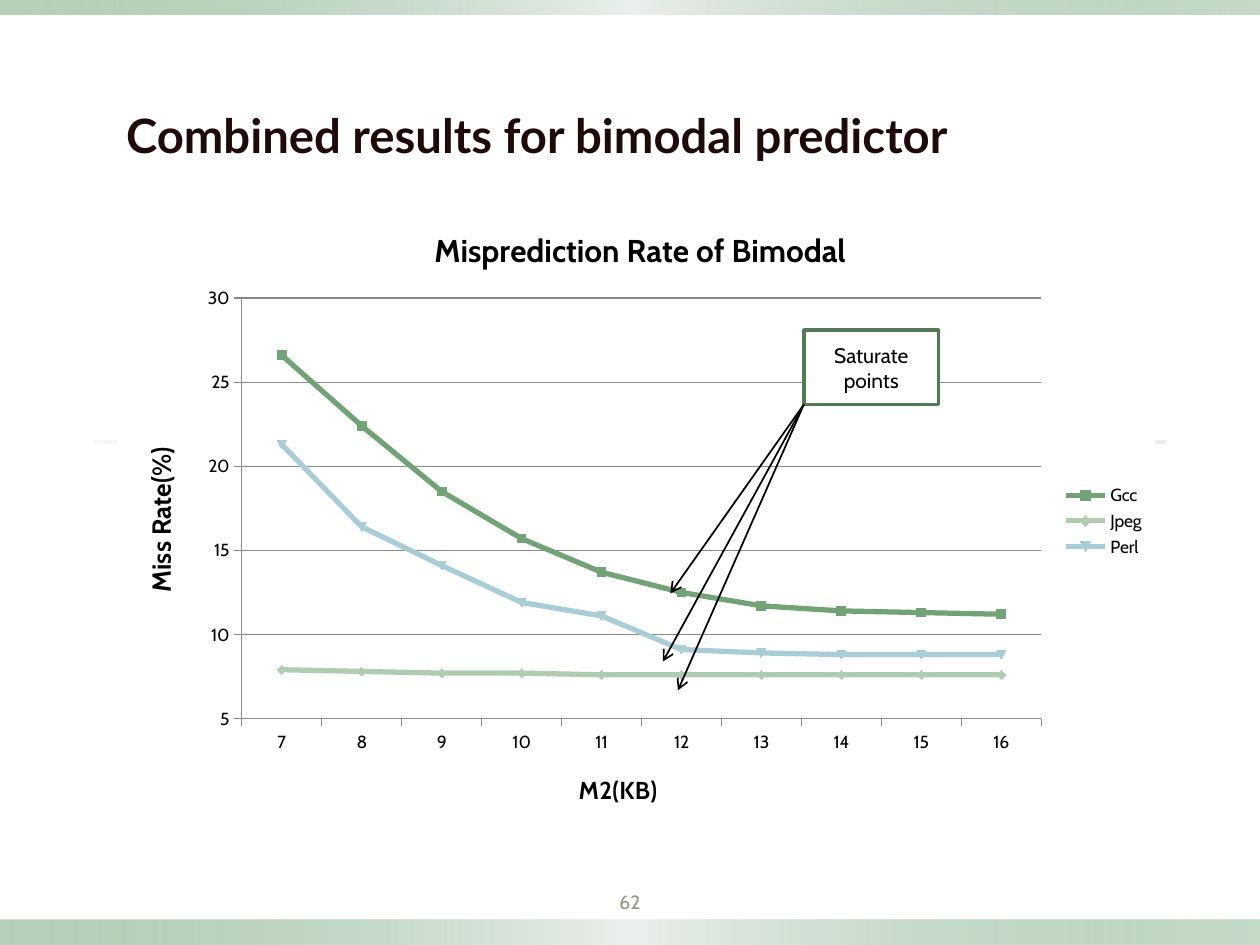
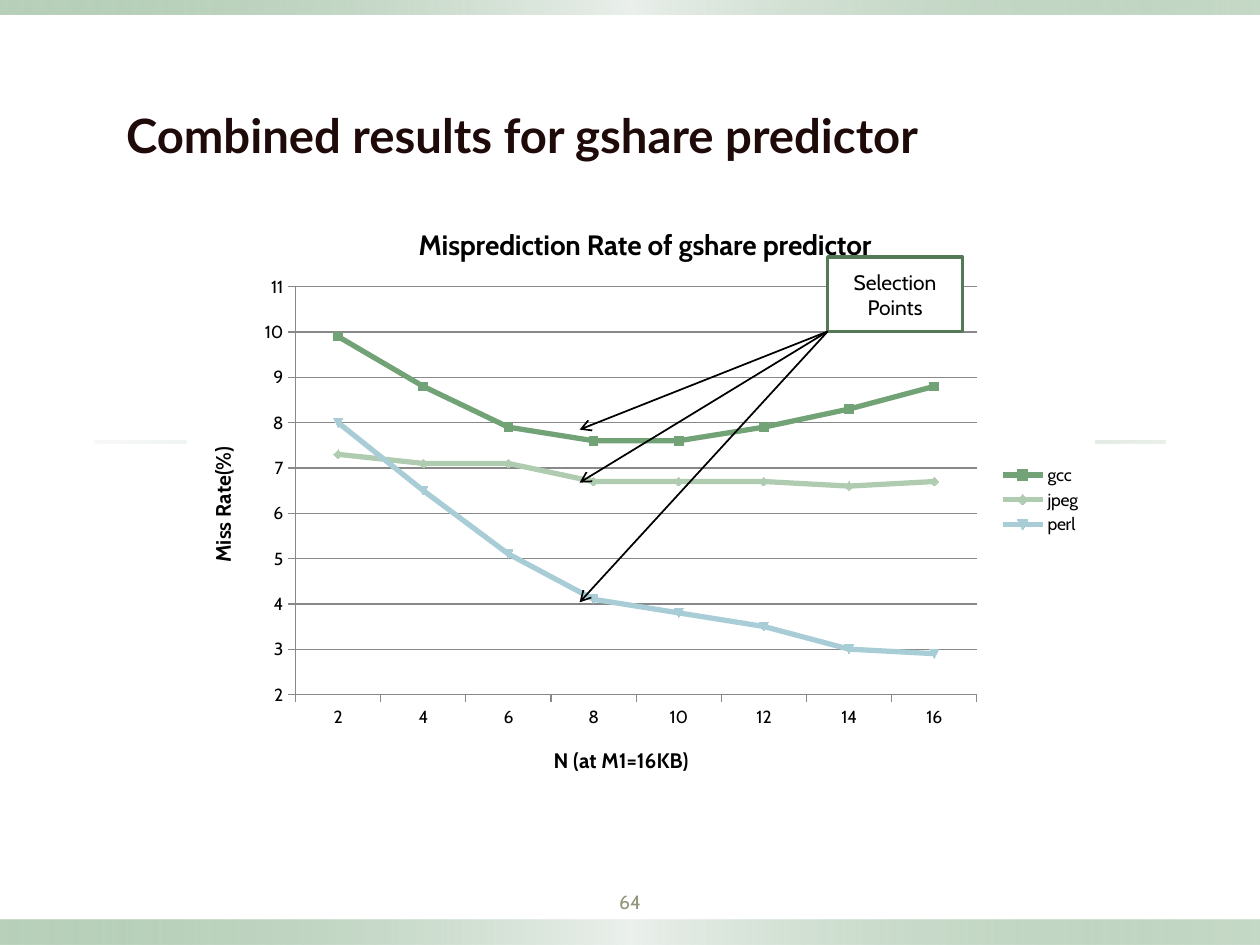
from lxml.etree import SubElement
from pptx import Presentation
from pptx.chart.data import CategoryChartData
from pptx.dml.color import RGBColor
from pptx.enum.chart import XL_CHART_TYPE as CT, XL_LEGEND_POSITION as LP, XL_TICK_MARK as TM
from pptx.enum.shapes import MSO_CONNECTOR as MC, MSO_SHAPE as MS
from pptx.enum.text import MSO_ANCHOR as MA, MSO_AUTO_SIZE as AS, PP_ALIGN as PA
from pptx.oxml.ns import qn
from pptx.util import Pt

HEAD, BODY = "Lato", "Cabin"
INK, BLACK, WHITE, GREY = "1F0A0A", "000000", "FFFFFF", "888888"
GREEN, DARK_GREEN, OLIVE = "72A376", "547957", "91957A"
SERIES_COLORS = [GREEN, "B0CCB0", "A8CDD7"]
BAND = [(0, GREEN, 50), (50, "EBF0EC", 100), (100, GREEN, 40)]
RULE = [(0, "D5E0D6", 20), (50, GREEN, 40), (100, "D5E0D6", 50)]
MASTER_BARS = [((0, 525.6, 720, 14.4), BAND), ((0, 0, 720, 8.6), BAND), ((54, 252, 612, 1.4), RULE)]
TITLE_BOX = (67, 49.2, 529.2, 46.8)
NUMBER_BOX = (324, 504, 72, 22.3)

RESULTS = [
    {
        "title": "Combined results for bimodal predictor",
        "number": "62",
        "box": (67, 116.6, 593.3, 358.6),
        "cats": ["7", "8", "9", "10", "11", "12", "13", "14", "15", "16"],
        "series": {
            "Gcc": [26.6, 22.4, 18.5, 15.7, 13.7, 12.5, 11.7, 11.4, 11.3, 11.2],
            "Jpeg": [7.9, 7.8, 7.7, 7.7, 7.6, 7.6, 7.6, 7.6, 7.6, 7.6],
            "Perl": [21.3, 16.4, 14.1, 11.9, 11.1, 9.1, 8.9, 8.8, 8.8, 8.8],
        },
        "scale": (5, 30, 5),
        "heading": ("Misprediction Rate of Bimodal", 18, (0.3, 0.03)),
        "x_title": ("M2(KB)", 14, (0.44, 0.9)),
        "y_title": ("Miss Rate(%)", 15, (0.02, 0.38)),
        "plot": (0.12, 0.15, 0.77, 0.67),
        "legend": (0.91, 0.44, 0.08, 0.13),
        "callout": ("Saturate points", (459.4, 188.6, 77, 42.5)),
        "targets": [(-76.3, 108), (-80.6, 146.9), (-72, 163.4)],
    },
    {
        "title": "Combined results for gshare predictor",
        "number": "64",
        "box": (106.6, 115.9, 519.1, 342.7),
        "cats": ["2", "4", "6", "8", "10", "12", "14", "16"],
        "series": {
            "gcc": [9.9, 8.8, 7.9, 7.6, 7.6, 7.9, 8.3, 8.8],
            "jpeg": [7.3, 7.1, 7.1, 6.7, 6.7, 6.7, 6.6, 6.7],
            "perl": [8, 6.5, 5.1, 4.1, 3.8, 3.5, 3, 2.9],
        },
        "scale": (2, 11, 1),
        "heading": ("Misprediction Rate of gshare predictor", 16, (0.25, 0.03)),
        "x_title": ("N (at M1=16KB)", 12, (0.4, 0.9)),
        "y_title": ("Miss Rate(%)", 12, (0.02, 0.4)),
        "plot": (0.12, 0.14, 0.75, 0.68),
        "legend": (0.89, 0.43, 0.1, 0.13),
        "callout": ("Selection Points", (473, 146.9, 77, 42.5)),
        "targets": [(-141.8, 56.1), (-141.8, 86.4), (-141.8, 154.8)],
    },
]


def rgb(value):
    return RGBColor.from_string(value)


def pts(values):
    return [Pt(v) for v in values]


def apply(obj, values):
    for name, value in values.items():
        setattr(obj, name, value)


def style_font(font, name, size, color, bold=False):
    apply(font, {"name": name, "size": Pt(size), "bold": bold})
    font.color.rgb = rgb(color)


def style_line(line, color, width):
    line.color.rgb = rgb(color)
    line.width = Pt(width)


def write(tf, text, font, align, anchor, insets):
    margins = dict(zip(("margin_left", "margin_top", "margin_right", "margin_bottom"), pts(insets)))
    apply(tf, {"word_wrap": True, "auto_size": AS.NONE, "vertical_anchor": anchor, **margins})
    p = tf.paragraphs[0]
    p.alignment = align
    r = p.add_run()
    r.text = text
    style_font(r.font, *font)


def add_master_bar(slide, master, index, box, stops):
    sp = slide.shapes.add_shape(MS.RECTANGLE, *pts(box))
    sp.shadow.inherit = False
    sp.line.fill.background()
    sp.fill.gradient()
    sp.fill.gradient_angle = 0
    gs_list = sp.element.find(".//" + qn("a:gsLst"))
    for gs in list(gs_list):
        gs_list.remove(gs)
    for pos, color, alpha in stops:
        gs = SubElement(gs_list, qn("a:gs"), pos=str(pos * 1000))
        clr = SubElement(gs, qn("a:srgbClr"), val=color)
        SubElement(clr, qn("a:alpha"), val=str(alpha * 1000))
    master.shapes.element.insert(2 + index, sp.element)


def add_title(slide, text, box):
    sp = slide.shapes.title
    apply(sp, dict(zip(("left", "top", "width", "height"), pts(box))))
    write(sp.text_frame, text, (HEAD, 27, INK, True), PA.LEFT, MA.BOTTOM, (5, 3, 5, 3))


def add_number(slide, text, box):
    sp = slide.shapes.add_textbox(*pts(box))
    write(sp.text_frame, text, (BODY, 11, OLIVE), PA.CENTER, MA.MIDDLE, (3.6,) * 4)


def set_layout(parent, index, fractions, inner=False):
    for old in parent.findall(qn("c:layout")):
        parent.remove(old)
    layout = SubElement(parent, qn("c:layout"))
    parent.insert(index, layout)
    manual = SubElement(layout, qn("c:manualLayout"))
    if inner:
        SubElement(manual, qn("c:layoutTarget"), val="inner")
    for mode in ("xMode", "yMode"):
        SubElement(manual, qn("c:" + mode), val="edge")
    for name, value in zip("xywh", fractions):
        SubElement(manual, qn("c:" + name), val=str(value))


def set_chart_title(title, text, size, place):
    p = title.text_frame.paragraphs[0]
    r = p.add_run()
    r.text = text
    style_font(r.font, BODY, size, BLACK, True)
    set_layout(title.element, 1, place)


def fill_chart(chart, color):
    sp_pr = SubElement(chart.element, qn("c:spPr"))
    chart.element.find(qn("c:chart")).addnext(sp_pr)
    fill = SubElement(sp_pr, qn("a:solidFill"))
    SubElement(fill, qn("a:srgbClr"), val=color)
    SubElement(SubElement(sp_pr, qn("a:ln")), qn("a:noFill"))


def add_rate_chart(slide, box, d):
    data = CategoryChartData()
    data.categories = d["cats"]
    for name, values in d["series"].items():
        data.add_series(name, values)
    chart = slide.shapes.add_chart(CT.LINE_MARKERS, *pts(box), data).chart
    style_font(chart.font, BODY, 10, BLACK)
    fill_chart(chart, WHITE)
    chart.plots[0].vary_by_categories = False

    for series, color in zip(chart.plots[0].series, SERIES_COLORS):
        series.smooth = False
        style_line(series.format.line, color, 3)
        series.marker.size = 5
        series.marker.format.fill.solid()
        series.marker.format.fill.fore_color.rgb = rgb(color)
        style_line(series.marker.format.line, color, 0.75)

    x_axis, y_axis = chart.category_axis, chart.value_axis
    low, high, step = d["scale"]
    apply(y_axis, {"minimum_scale": low, "maximum_scale": high, "major_unit": step})
    for axis, key in ((x_axis, "x_title"), (y_axis, "y_title")):
        apply(axis, {"major_tick_mark": TM.OUTSIDE, "minor_tick_mark": TM.NONE})
        style_line(axis.format.line, GREY, 0.75)
        set_chart_title(axis.axis_title, *d[key])
    x_axis.has_major_gridlines = False
    y_axis.has_major_gridlines = True
    style_line(y_axis.major_gridlines.format.line, GREY, 0.75)

    chart.has_title = True
    set_chart_title(chart.chart_title, *d["heading"])
    chart.has_legend = True
    apply(chart.legend, {"position": LP.RIGHT, "include_in_layout": False})
    set_layout(chart.element.find(".//" + qn("c:legend")), 1, d["legend"])
    set_layout(chart.element.find(".//" + qn("c:plotArea")), 0, d["plot"], True)


def add_callout(slide, text, box, targets):
    left, top, width, height = box
    sp = slide.shapes.add_shape(MS.RECTANGLE, *pts(box))
    sp.shadow.inherit = False
    sp.fill.solid()
    sp.fill.fore_color.rgb = rgb(WHITE)
    style_line(sp.line, DARK_GREEN, 2)
    write(sp.text_frame, text, (BODY, 12, BLACK), PA.CENTER, MA.MIDDLE, (7.2, 3.6, 7.2, 3.6))
    x, y = left, top + height
    for dx, dy in targets:
        arrow = slide.shapes.add_connector(MC.STRAIGHT, *pts((x, y, x + dx, y + dy)))
        style_line(arrow.line, BLACK, 1)
        sp_pr = arrow.element.find(qn("p:spPr"))
        SubElement(sp_pr.find(qn("a:ln")), qn("a:tailEnd"), type="arrow")
        SubElement(sp_pr, qn("a:effectLst"))


def add_result_slide(prs, d):
    slide = prs.slides.add_slide(prs.slide_layouts[5])
    add_number(slide, d["number"], NUMBER_BOX)
    add_title(slide, d["title"], TITLE_BOX)
    add_rate_chart(slide, d["box"], d)
    add_callout(slide, *d["callout"], d["targets"])
    return slide


def main():
    prs = Presentation()
    apply(prs, {"slide_width": Pt(720), "slide_height": Pt(540)})
    slides = [add_result_slide(prs, d) for d in RESULTS]
    for i, (box, stops) in enumerate(MASTER_BARS):
        add_master_bar(slides[0], prs.slide_master, i, box, stops)
    prs.save("out.pptx")


if __name__ == "__main__":
    main()
